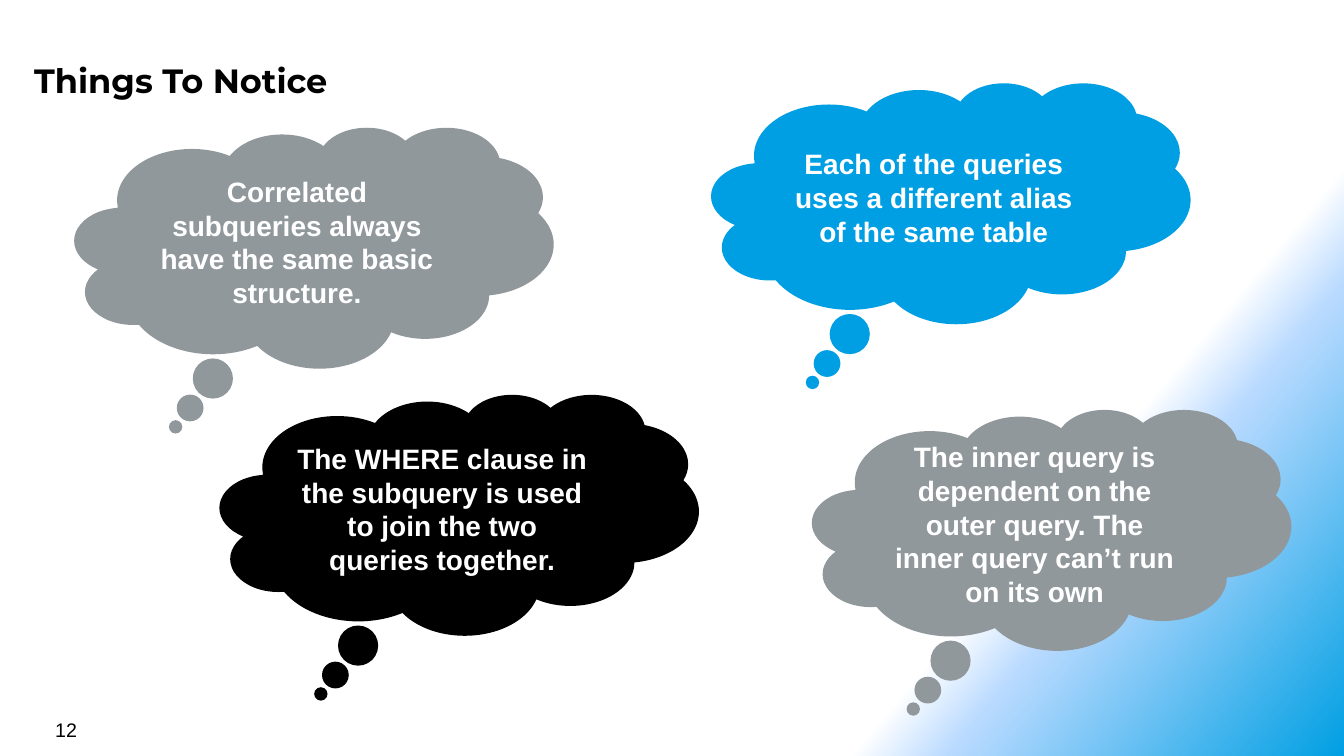
from lxml.etree import SubElement
from pptx import Presentation
from pptx.dml.color import RGBColor
from pptx.enum.shapes import MSO_SHAPE as Shape
from pptx.enum.text import MSO_ANCHOR as Anchor, PP_ALIGN as Align
from pptx.oxml.ns import qn
from pptx.util import Cm, Pt

WHITE = RGBColor(0xFF, 0xFF, 0xFF)
BLACK = RGBColor(0, 0, 0)
GREY = RGBColor(0x91, 0x98, 0x9C)
BLUE = RGBColor(0x00, 0x9F, 0xE3)
PALE_BLUE = RGBColor(0xB9, 0xDA, 0xFF)

TITLE = "Things To Notice"
PAGE_NUMBER = "12"
CLOUDS = [
    (1.88, 3.2, GREY, "Correlated subqueries always have the same basic structure."),
    (17.93, 2.08, BLUE, "Each of the queries uses a different alias of the same table"),
    (5.54, 9.93, BLACK,
     "The WHERE clause in the subquery is used to join the two queries together."),
    (20.47, 10.31, GREY,
     "The inner query is dependent on the outer query. The inner query can’t run on its own"),
]
CLOUD_SIZE = Cm(12.07), Cm(6.07)
CLOUD_TAIL = -0.289, 0.745
GRADIENT_STOPS = [(75, WHITE, 100), (80, PALE_BLUE, 50), (100, BLUE, 100)]
GRADIENT_ANGLE = 40


def paint_background(page):
    fill = page.background.fill
    fill.gradient()
    gradient = page.background._cSld.find(".//" + qn("a:gradFill"))
    stops = gradient.find(qn("a:gsLst"))
    for stop in list(stops):
        stops.remove(stop)
    for position, color, opacity in GRADIENT_STOPS:
        stop = SubElement(stops, qn("a:gs"), pos=str(position * 1000))
        shade = SubElement(stop, qn("a:srgbClr"), val=str(color))
        if opacity < 100:
            SubElement(shade, qn("a:alpha"), val=str(opacity * 1000))
    fill.gradient_angle = 360 - GRADIENT_ANGLE


def write(frame, text, size, font, color, bold=False):
    frame.word_wrap = True
    para = frame.paragraphs[0]
    span = para.add_run()
    span.text = text
    span.font.name = font
    span.font.size = Pt(size)
    span.font.bold = bold
    span.font.color.rgb = color
    return para


def add_cloud(page, left, top, color, text):
    cloud = page.shapes.add_shape(Shape.CLOUD_CALLOUT, Cm(left), Cm(top), *CLOUD_SIZE)
    for index, value in enumerate(CLOUD_TAIL):
        cloud.adjustments[index] = value
    cloud.shadow.inherit = False
    cloud.fill.solid()
    cloud.fill.fore_color.rgb = color
    cloud.line.fill.background()
    cloud.text_frame.vertical_anchor = Anchor.MIDDLE
    para = write(cloud.text_frame, text, 20, "Arial", WHITE, True)
    para.alignment = Align.CENTER
    para.line_spacing = Pt(24)


def main():
    deck = Presentation()
    deck.slide_width, deck.slide_height = Cm(33.87), Cm(19.05)
    page = deck.slides.add_slide(deck.slide_layouts[6])
    paint_background(page)

    title = page.shapes.add_textbox(Cm(0.66), Cm(1.3), Cm(31.14), Cm(1.4)).text_frame
    title.margin_left = title.margin_right = Cm(0.2)
    title.margin_top = title.margin_bottom = Cm(0.2)
    write(title, TITLE, 24, "Montserrat", BLACK, True)

    for cloud in CLOUDS:
        add_cloud(page, *cloud)

    number = page.shapes.add_textbox(Cm(1.14), Cm(17.96), Cm(7.9), Cm(0.84))
    write(number.text_frame, PAGE_NUMBER, 14, "Arial", BLACK)
    deck.save("out.pptx")


if __name__ == "__main__":
    main()
